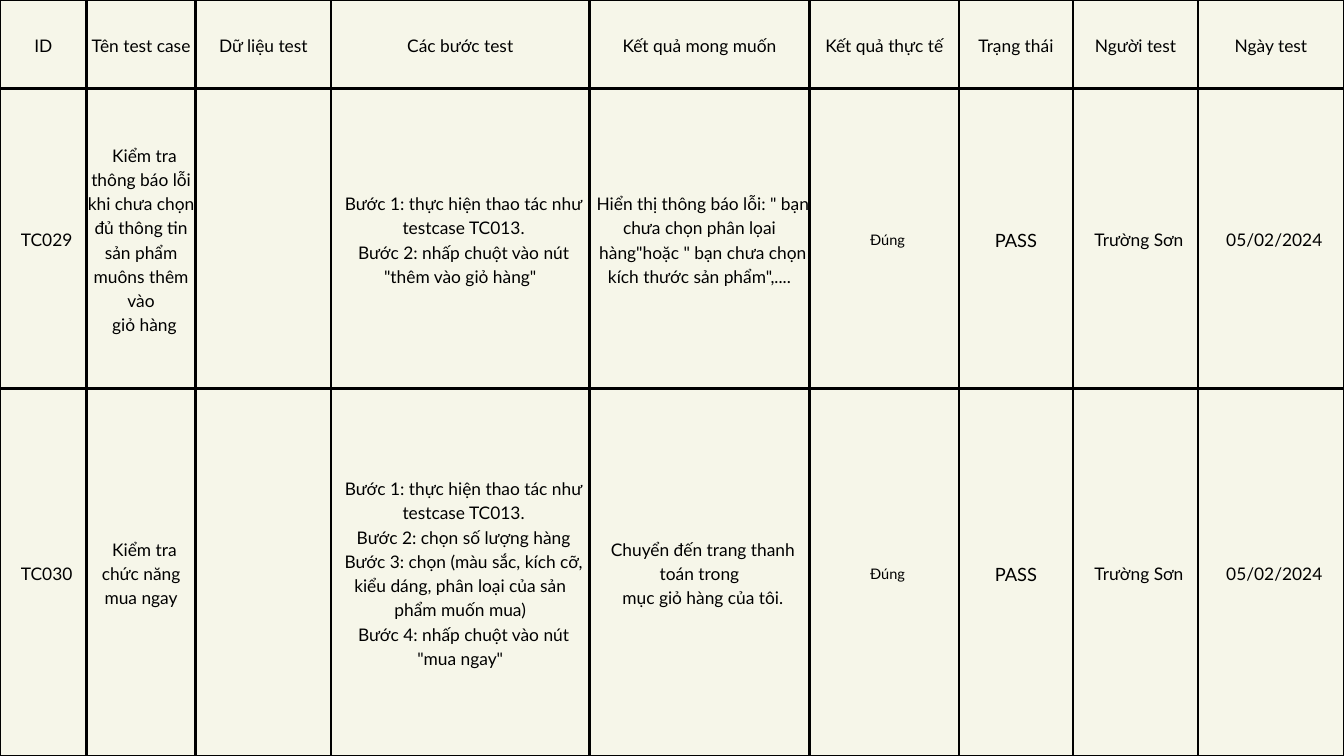
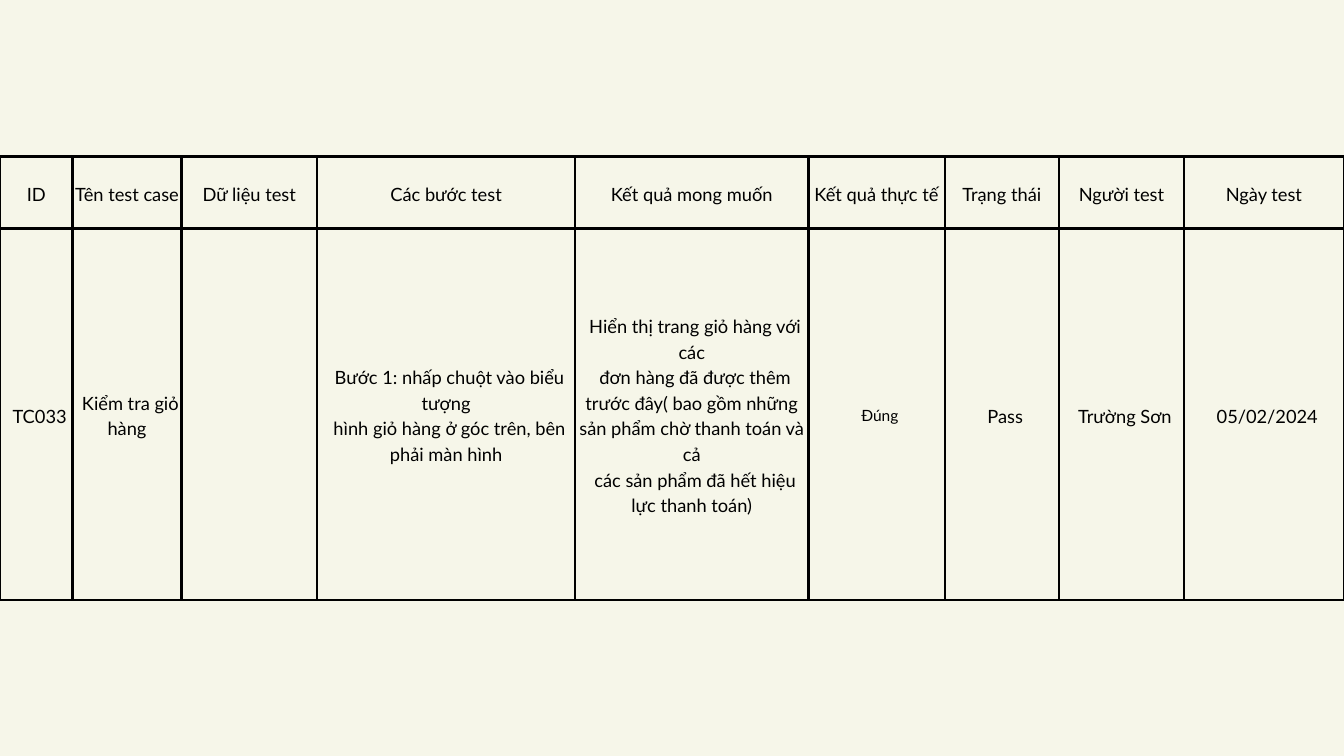
"""Build two slides of test case tables."""
from lxml import etree
from pptx import Presentation
from pptx import util as u
from pptx.dml.color import RGBColor
from pptx.enum import text
from pptx.oxml.ns import qn

HUES = {"paper": "F6F6E9", "ink": "000000"}
FACE = "Lato"
EDGE = 3
LEADING = 1.4
INDENT = u.Inches(0.1)
CELL = {
    "margin_left": 0,
    "margin_right": 0,
    "margin_top": 0,
    "margin_bottom": 0,
    "vertical_anchor": text.MSO_ANCHOR.MIDDLE,
}
PLAIN = {"first_row": False, "horz_banding": False}
HEADS = [
    "ID", "Tên test case", "Dữ liệu test", "Các bước test",
    "Kết quả mong muốn", "Kết quả thực tế", "Trạng thái",
    "Người test", "Ngày test",
]
ACTUAL, STATUS = 5, 6
STATUS_SIZE = 19.6
TESTER, DAY = "Trường Sơn", "05/02/2024"

CART_CASES = [
    [
        ["TC029"],
        ["Kiểm tra thông báo lỗi khi chưa chọn đủ thông tin sản phẩm "
         "muôns thêm vào",
         "giỏ hàng"],
        [],
        ["Bước 1: thực hiện thao tác như",
         "testcase TC013.",
         'Bước 2: nhấp chuột vào nút "thêm vào giỏ hàng"'],
        ['Hiển thị thông báo lỗi: " bạn chưa chọn phân lọai',
         'hàng"hoặc " bạn chưa chọn kích thước sản phẩm",....'],
        ["Đúng"], ["PASS"], [TESTER], [DAY],
    ],
    [
        ["TC030"],
        ["Kiểm tra chức năng mua ngay"],
        [],
        ["Bước 1: thực hiện thao tác như",
         "testcase TC013.",
         "Bước 2: chọn số lượng hàng",
         "Bước 3: chọn (màu sắc, kích cỡ, kiểu dáng, phân loại của sản "
         "phẩm muốn mua)",
         'Bước 4: nhấp chuột vào nút "mua ngay"'],
        ["Chuyển đến trang thanh toán trong",
         "mục giỏ hàng của tôi."],
        ["Đúng"], ["PASS"], [TESTER], [DAY],
    ],
]
VIEW_CASES = [
    [
        ["TC033"],
        ["Kiểm tra giỏ hàng"],
        [],
        ["Bước 1: nhấp chuột vào biểu tượng",
         "hình giỏ hàng ở góc trên, bên phải màn hình"],
        ["Hiển thị trang giỏ hàng với các",
         "đơn hàng đã được thêm trước đây( bao gồm những sản phẩm chờ "
         "thanh toán và cả",
         "các sản phẩm đã hết hiệu lực thanh toán)"],
        ["Đúng"], ["Pass"], [TESTER], [DAY],
    ],
]
PAGES = [
    {
        "top": 0,
        "size": 18.6,
        "cols": [1.29, 1.62, 2.02, 3.84, 3.28, 2.22, 1.7, 1.86, 2.17],
        "rows": [1.32, 4.46, 5.47],
        "cases": CART_CASES,
    },
    {
        "top": 2.33,
        "size": 19.6,
        "cols": [1.08, 1.62, 2.02, 3.84, 3.47, 2.03, 1.7, 1.86, 2.38],
        "rows": [1.07, 5.53],
        "cases": VIEW_CASES,
    },
]


def apply(item, values):
    """Set each named attribute of an item."""
    for name, value in values.items():
        setattr(item, name, value)


def frame(cell):
    """Rule all four sides of a cell and leave it unfilled."""
    props = cell._tc.get_or_add_tcPr()
    for side in ("lnL", "lnR", "lnT", "lnB"):
        line = etree.SubElement(props, qn(f"a:{side}"), w=str(u.Pt(EDGE)))
        fill = etree.SubElement(line, qn("a:solidFill"))
        etree.SubElement(fill, qn("a:srgbClr"), val=HUES["ink"])
    cell.fill.background()


def write(cell, lines, size, indent):
    """Write centred lines, each with a first-line indent."""
    for spot, line in enumerate(lines):
        body = cell.text_frame
        para = body.add_paragraph() if spot else body.paragraphs[0]
        apply(para, {
            "alignment": text.PP_ALIGN.CENTER,
            "line_spacing": u.Pt(round(LEADING * size, 1)),
        })
        if indent:
            para._p.get_or_add_pPr().set("indent", str(indent))
        run = para.add_run()
        run.text = line
        apply(run.font, {"name": FACE, "size": u.Pt(size)})
        run.font.color.rgb = RGBColor.from_string(HUES["ink"])


def style(row, col, lines, base):
    """Return the text size and indent that suit a cell."""
    if row == 0:
        return base, 0
    sizes = {ACTUAL: base - 3, STATUS: STATUS_SIZE}
    return sizes.get(col, base), 0 if lines == ["PASS"] else INDENT


def grid(slide, page):
    """Add a table of test cases under the shared headings."""
    cols, rows = page["cols"], page["rows"]
    table = slide.shapes.add_table(
        len(rows), len(cols), 0, u.Inches(page["top"]),
        u.Inches(sum(cols)), u.Inches(sum(rows))).table
    apply(table, PLAIN)
    for col, width in zip(table.columns, cols):
        col.width = u.Inches(width)
    for row, height in zip(table.rows, rows):
        row.height = u.Inches(height)
    cases = [[[head] for head in HEADS]] + page["cases"]
    for row, case in enumerate(cases):
        for col, lines in enumerate(case):
            cell = table.cell(row, col)
            apply(cell, CELL)
            frame(cell)
            write(cell, lines, *style(row, col, lines, page["size"]))


def main():
    """Build and save the deck."""
    deck = Presentation()
    apply(deck, {"slide_width": u.Inches(20), "slide_height": u.Inches(11.25)})
    paper = deck.slide_master.background.fill
    paper.solid()
    paper.fore_color.rgb = RGBColor.from_string(HUES["paper"])
    for page in PAGES:
        grid(deck.slides.add_slide(deck.slide_layouts[6]), page)
    deck.save("out.pptx")


if __name__ == "__main__":
    main()
